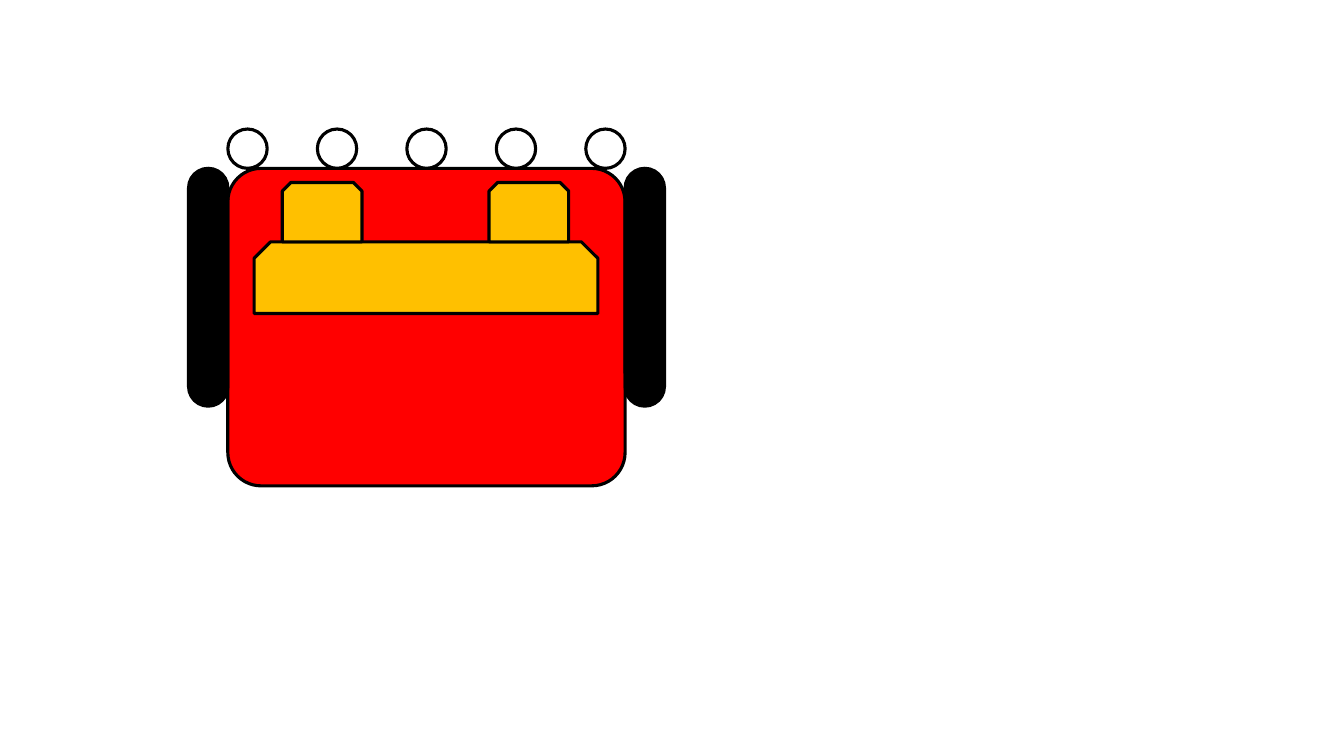
from pptx import Presentation
from pptx.dml.color import RGBColor
from pptx.enum.shapes import MSO_SHAPE
from pptx.util import Inches, Pt

BLACK = "000000"
WHITE = "FFFFFF"
RED = "FF0000"
AMBER = "FFC000"

BODY_LEFT, BODY_TOP, BODY_WIDTH, BODY_HEIGHT = 2.26, 1.67, 3.94, 3.15
WHEEL_WIDTH, WHEEL_HEIGHT = 0.39, 2.36
SENSOR_SIZE, SENSOR_COUNT = 0.39, 5


def color(hex_string):
    return RGBColor.from_string(hex_string)


def add_part(robot, preset, left, top, width, height, fill, adjustments=()):
    part = robot.shapes.add_shape(
        preset, Inches(left), Inches(top), Inches(width), Inches(height))
    part.shadow.inherit = False
    part.fill.solid()
    part.fill.fore_color.rgb = color(fill)
    part.line.color.rgb = color(BLACK)
    part.line.width = Pt(2.25)
    for index, value in enumerate(adjustments):
        part.adjustments[index] = value


def add_body(robot):
    add_part(robot, MSO_SHAPE.ROUNDED_RECTANGLE,
             BODY_LEFT, BODY_TOP, BODY_WIDTH, BODY_HEIGHT, RED, [0.105])


def add_boards(robot):
    snipped = MSO_SHAPE.SNIP_2_SAME_RECTANGLE
    add_part(robot, snipped, 2.52, 2.4, 3.41, 0.71, AMBER, [0.23, 0])
    for left in (2.8, 4.85):
        add_part(robot, snipped, left, 1.81, 0.79, 0.59, AMBER, [0.145, 0])


def add_wheels(robot):
    for left in (BODY_LEFT + BODY_WIDTH, BODY_LEFT - WHEEL_WIDTH):
        add_part(robot, MSO_SHAPE.ROUNDED_RECTANGLE,
                 left, BODY_TOP, WHEEL_WIDTH, WHEEL_HEIGHT, BLACK, [0.5])


def add_sensors(robot):
    pitch = (BODY_WIDTH - SENSOR_SIZE) / (SENSOR_COUNT - 1)
    for index in range(SENSOR_COUNT):
        add_part(robot, MSO_SHAPE.FLOWCHART_CONNECTOR,
                 BODY_LEFT + index * pitch, BODY_TOP - SENSOR_SIZE,
                 SENSOR_SIZE, SENSOR_SIZE, WHITE)


def main():
    presentation = Presentation()
    presentation.slide_width = Inches(13.33)
    presentation.slide_height = Inches(7.5)
    slide = presentation.slides.add_slide(presentation.slide_layouts[6])
    robot = slide.shapes.add_group_shape()
    add_body(robot)
    add_boards(robot)
    add_wheels(robot)
    add_sensors(robot)
    presentation.save("out.pptx")


if __name__ == "__main__":
    main()
